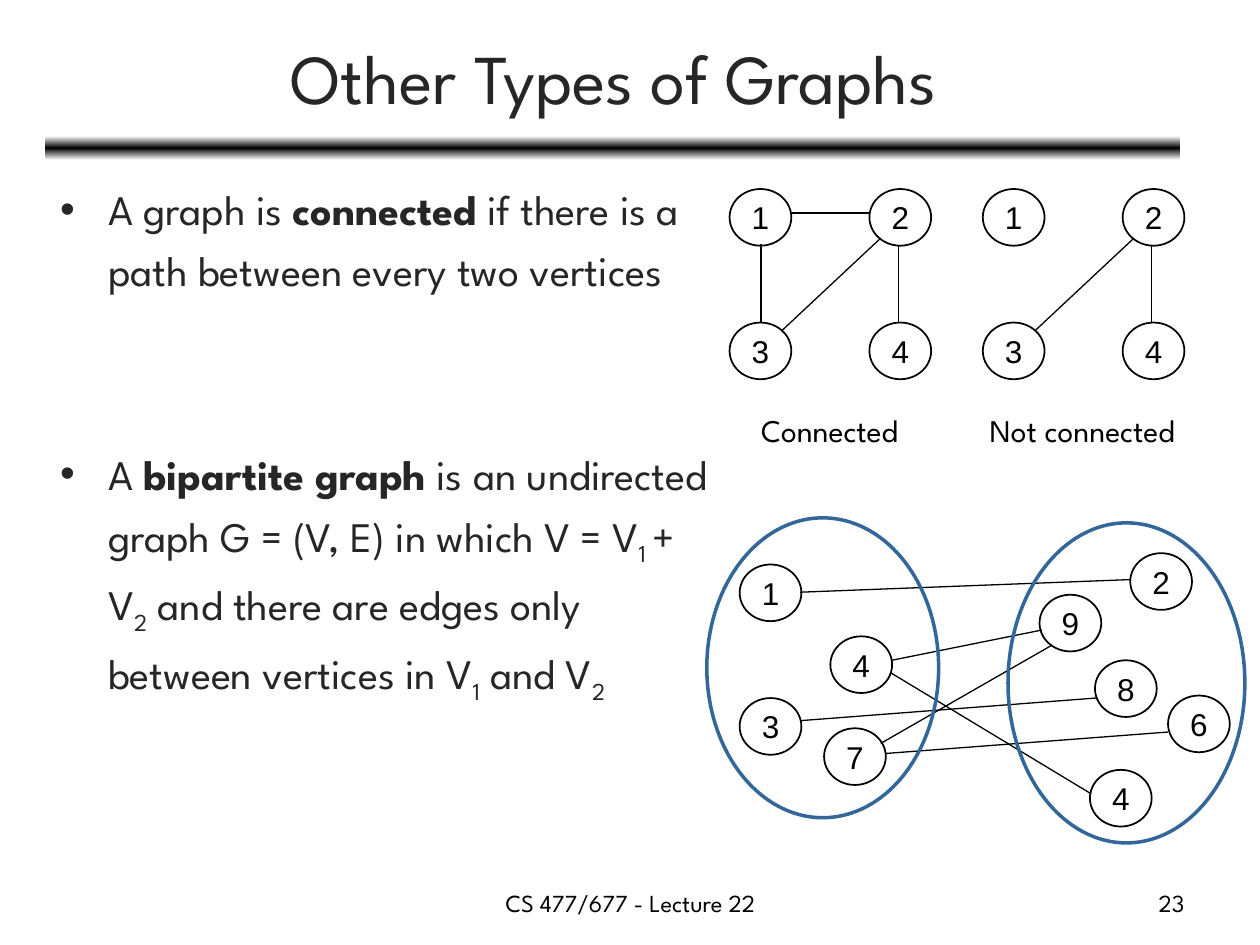
from copy import deepcopy

from pptx import Presentation
from pptx.dml.color import RGBColor
from pptx.enum.shapes import MSO_CONNECTOR as Link, MSO_SHAPE as Shape
from pptx.enum.text import MSO_ANCHOR as Anchor, PP_ALIGN as Align
from pptx.oxml.ns import qn
from pptx.util import Pt
from lxml.etree import SubElement

PX = 9144
PAGE_SIZE = (1000, 750)
SERIF_FREE, NODE_FONT = "League Spartan", "Arial"
BLACK, WHITE, CHARCOAL, BLUE = "000000", "FFFFFF", "262626", "336699"
NODE_SIZE = (49, 45)
RULE = (36, 108, 901, 19)

TITLE = ("Other Types of Graphs", (37, 11, 900, 99))
BODY_AREA = (38, 133, 540, 555)
BULLETS = [
    (0, [("A graph is ", ""), ("connected", "bold"),
         (" if there is a path between every two vertices", "")]),
    (82, [("A ", ""), ("bipartite graph", "bold"),
          (" is an undirected graph G = (V, E) in which V = V", ""),
          ("1 ", "sub"), ("+ V", ""), ("2", "sub"),
          (" and there are edges only between vertices in V", ""),
          ("1", "sub"), (" and V", ""), ("2", "sub")]),
]
CAPTIONS = [("Connected", (577, 321, 163, 40)),
            ("Not connected", (754, 321, 210, 40))]
FOOTERS = [("CS 477/677 - Lecture 22", (342, 700, 317, 35), Align.CENTER),
           ("23", (717, 700, 233, 35), Align.RIGHT)]

SQUARE_NODES = [("1", 579, 150), ("2", 690, 150), ("3", 579, 256), ("4", 690, 256)]
SHARED_EDGES = [(713, 195, 713, 256), (699, 189, 621, 262)]
CONNECTING_EDGES = [(628, 169, 690, 169), (604, 256, 604, 194)]
SQUARE_GRAPHS = [(0, SHARED_EDGES + CONNECTING_EDGES), (201, SHARED_EDGES)]

BIPARTITE_NODES = [
    ("1", 587, 448), ("2", 897, 439), ("3", 587, 554), ("4", 865, 611), ("4", 659, 505),
    ("9", 825, 472), ("7", 654, 578), ("6", 927, 552), ("8", 869, 524),
]
BIPARTITE_EDGES = [
    (635, 470, 897, 460), (707, 534, 866, 630), (635, 572, 870, 554),
    (708, 524, 827, 500), (703, 598, 927, 581), (835, 512, 699, 590),
]
VERTEX_SETS = [(561, 411, 184, 238), (800, 415, 188, 254)]


def color(value):
    """Turn a hex string into a colour."""
    return RGBColor.from_string(value)


def emu(lengths):
    """Scale px lengths to EMU."""
    return [length * PX for length in lengths]


def add_span(para, text, size=18, font=SERIF_FREE, ink=BLACK, style=""):
    """Add one formatted run, optionally bold or subscript."""
    span = para.add_run()
    span.text = text
    span.font.size, span.font.name = Pt(size), font
    span.font.color.rgb = color(ink)
    if style == "bold":
        span.font.bold = True
    if style == "sub":
        span.font._element.set("baseline", "-25000")


def add_label(page, text, area, align=Align.CENTER, anchor=Anchor.TOP, wrap=True, **style):
    """Add a text box holding one line."""
    box = page.shapes.add_textbox(*emu(area))
    frame = box.text_frame
    frame.word_wrap, frame.vertical_anchor = wrap, anchor
    para = frame.paragraphs[0]
    para.alignment = align
    add_span(para, text, **style)


def add_bullets(page):
    """Add the bulleted body text."""
    frame = page.shapes.add_textbox(*emu(BODY_AREA)).text_frame
    frame.word_wrap = True
    for index, (gap, spans) in enumerate(BULLETS):
        para = frame.add_paragraph() if index else frame.paragraphs[0]
        para.line_spacing, para.space_before = 1.2, Pt(gap)
        props = para._p.get_or_add_pPr()
        props.set("marL", str(38 * PX))
        props.set("indent", str(-38 * PX))
        SubElement(props, qn("a:buFont"), typeface=NODE_FONT)
        SubElement(props, qn("a:buChar"), char="•")
        for text, style in spans:
            add_span(para, text, size=24, ink=CHARCOAL, style=style)


def add_rule(page):
    """Add the bar that fades from black to white at both edges."""
    bar = page.shapes.add_shape(Shape.ROUNDED_RECTANGLE, *emu(RULE))
    bar.shadow.inherit = False
    bar.line.fill.background()
    bar.fill.gradient()
    bar.fill.gradient_angle = 90
    edge, middle = bar.fill.gradient_stops
    edge.color.rgb, edge.position = color(WHITE), 0
    middle.color.rgb, middle.position = color(BLACK), 0.5
    stops = next(bar._element.iter(qn("a:gsLst")))
    stops.append(deepcopy(stops[0]))
    bar.fill.gradient_stops[2].position = 1


def add_ellipse(page, area, ink=BLACK, width=1):
    """Add an unfilled ellipse."""
    ellipse = page.shapes.add_shape(Shape.OVAL, *emu(area))
    ellipse.shadow.inherit = False
    ellipse.fill.background()
    ellipse.line.color.rgb, ellipse.line.width = color(ink), Pt(width)
    return ellipse


def add_graph(page, nodes, edges, shift=0):
    """Add numbered nodes and the edges between them."""
    for label, left, top in nodes:
        frame = add_ellipse(page, (left + shift, top, *NODE_SIZE)).text_frame
        frame.word_wrap, frame.vertical_anchor = False, Anchor.MIDDLE
        para = frame.paragraphs[0]
        para.alignment = Align.CENTER
        add_span(para, label, font=NODE_FONT)
    for x1, y1, x2, y2 in edges:
        edge = page.shapes.add_connector(
            Link.STRAIGHT, *emu((x1 + shift, y1, x2 + shift, y2)))
        edge.line.color.rgb, edge.line.width = color(BLACK), Pt(0.75)
        SubElement(edge._element.spPr, qn("a:effectLst"))


def main():
    """Build and save the slide."""
    deck = Presentation()
    deck.slide_width, deck.slide_height = emu(PAGE_SIZE)
    page = deck.slides.add_slide(deck.slide_layouts[6])
    add_rule(page)
    add_label(page, *TITLE, anchor=Anchor.MIDDLE, size=40, ink=CHARCOAL)
    add_bullets(page)
    for shift, edges in SQUARE_GRAPHS:
        add_graph(page, SQUARE_NODES, edges, shift)
    for text, area in CAPTIONS:
        add_label(page, text, area, wrap=False)
    add_graph(page, BIPARTITE_NODES, BIPARTITE_EDGES)
    for area in VERTEX_SETS:
        add_ellipse(page, area, ink=BLUE, width=2)
    for text, area, align in FOOTERS:
        add_label(page, text, area, align, size=14)
    deck.save("out.pptx")


if __name__ == "__main__":
    main()
